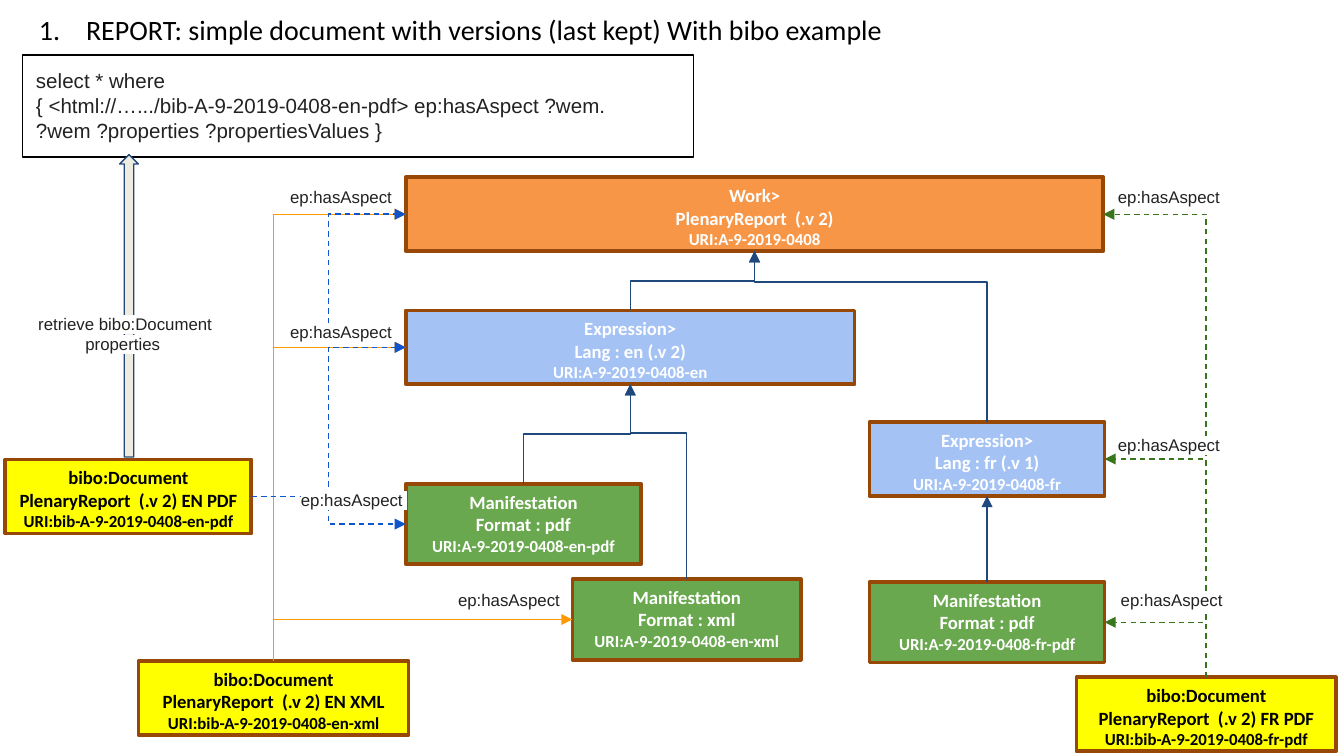
from dataclasses import dataclass

from lxml import etree
from pptx import Presentation
from pptx.dml.color import RGBColor
from pptx.enum.dml import MSO_LINE
from pptx.enum.shapes import MSO_CONNECTOR, MSO_SHAPE
from pptx.enum.text import MSO_ANCHOR, MSO_AUTO_SIZE, PP_ALIGN
from pptx.oxml.ns import qn
from pptx.util import Pt

LEFT, CENTER = PP_ALIGN.LEFT, PP_ALIGN.CENTER
TOP_SITE, LEFT_SITE, BOTTOM_SITE, RIGHT_SITE = range(4)
DASH = MSO_LINE.DASH


@dataclass(frozen=True)
class Theme:
    heading: str = "Calibri"
    body: str = "Arial"
    black: str = "000000"
    white: str = "FFFFFF"
    grey: str = "222222"
    work: str = "F79646"
    expression: str = "A4C2F4"
    manifestation: str = "6AA84F"
    document: str = "FFFF00"
    border: str = "974806"
    navy: str = "1F497D"
    cream: str = "EEECE1"
    green: str = "38761D"
    orange: str = "FF9900"
    blue: str = "1155CC"
    title_size: float = 15
    query_size: float = 11
    box_size: float = 10
    small_size: float = 9
    thin: float = 0.75
    thick: float = 2


THEME = Theme()

# Content
TITLE = "REPORT: simple document with versions (last kept) With bibo example"
QUERY = [
    "select * where ",
    "{ <html://….../bib-A-9-2019-0408-en-pdf> ep:hasAspect ?wem.",
    "?wem ?properties ?propertiesValues }",
]
RETRIEVE = "retrieve bibo:Document properties "
ASPECT = "ep:hasAspect "

KINDS = {  # heading, fill, text colour, height
    "work": ("Work>", THEME.work, THEME.white, 39.6),
    "expression": ("Expression>", THEME.expression, THEME.white, 39.6),
    "manifestation": ("Manifestation", THEME.manifestation, THEME.white, 43.2),
    "document": ("bibo:Document", THEME.document, THEME.black, 39.6),
}
BOXES = {  # kind, detail, URI, left, top, width
    "work": ("work", "PlenaryReport  (.v 2)", "A-9-2019-0408", 217.4, 95, 373.7),
    "fr": ("expression", "Lang : fr (.v 1)", "A-9-2019-0408-fr", 465.8, 226.1, 126),
    "en": ("expression", "Lang : en (.v 2)", "A-9-2019-0408-en", 217.4, 166.3, 240.5),
    "en xml": ("manifestation", "Format : xml", "A-9-2019-0408-en-xml", 306.7, 310.3, 122.4),
    "en pdf": ("manifestation", "Format : pdf", "A-9-2019-0408-en-pdf", 217.4, 259.2, 126),
    "fr pdf": ("manifestation", "Format : pdf", "A-9-2019-0408-fr-pdf", 465.8, 311.8, 126),
    "doc fr pdf": ("document", "PlenaryReport  (.v 2) FR PDF",
                   "bib-A-9-2019-0408-fr-pdf", 576.7, 362.9, 139),
    "doc en pdf": ("document", "PlenaryReport  (.v 2) EN PDF",
                   "bib-A-9-2019-0408-en-pdf", 2.9, 246.2, 131.8),
    "doc en xml": ("document", "PlenaryReport  (.v 2) EN XML",
                   "bib-A-9-2019-0408-en-xml", 74.2, 354.2, 144.7),
}
PARENTS = [  # child, parent, share of the rise before the turn
    ("en", "work", 0.5),
    ("en pdf", "en", 0.5),
    ("fr", "work", 0.82),
    ("en xml", "en", 0.75),
    ("fr pdf", "fr", None),
]
ASPECTS = [  # document, exit site, entry site, colour, dash, targets
    ("doc fr pdf", TOP_SITE, RIGHT_SITE, THEME.green, DASH, ["work", "fr", "fr pdf"]),
    ("doc en xml", TOP_SITE, LEFT_SITE, THEME.orange, None, ["en xml", "en", "work"]),
    ("doc en pdf", RIGHT_SITE, LEFT_SITE, THEME.blue, DASH, ["work", "en", "en pdf"]),
]
ASPECT_LABELS = [(148.3, 92.9), (148.3, 164.9), (154.1, 254.9), (238.3, 308.9),
                 (593.3, 308.9), (591.8, 225.4), (591.8, 92.9)]

deck = Presentation()
deck.slide_width, deck.slide_height = Pt(720), Pt(405)
page = deck.slides.add_slide(deck.slide_layouts[5])


def rgb(color):
    return RGBColor.from_string(color)


def write(frame, lines, *, size, color, font=THEME.body, bold=False, align=LEFT,
          anchor=MSO_ANCHOR.TOP, inset=7.2, last_size=None, highlight=None):
    frame.word_wrap = True
    frame.auto_size = MSO_AUTO_SIZE.NONE
    frame.vertical_anchor = anchor
    frame.margin_left = frame.margin_right = Pt(7.2)
    frame.margin_top = frame.margin_bottom = Pt(inset)
    for index, line in enumerate(lines):
        para = frame.paragraphs[0] if index == 0 else frame.add_paragraph()
        para.alignment = align
        span = para.add_run()
        span.text = line
        is_last = index == len(lines) - 1
        span.font.size = Pt(last_size if last_size and is_last else size)
        span.font.name, span.font.bold = font, bold
        span.font.color.rgb = rgb(color)
        if highlight:
            mark = etree.Element(qn("a:highlight"))
            etree.SubElement(mark, qn("a:srgbClr")).set("val", highlight)
            span.font._element.find(qn("a:solidFill")).addnext(mark)


def add_box(left, top, width, height, *, fill, line, weight, kind=MSO_SHAPE.RECTANGLE):
    box = page.shapes.add_shape(kind, Pt(left), Pt(top), Pt(width), Pt(height))
    box.shadow.inherit = False
    if fill:
        box.fill.solid()
        box.fill.fore_color.rgb = rgb(fill)
    else:
        box.fill.background()
    box.line.color.rgb = rgb(line)
    box.line.width = Pt(weight)
    return box


def add_label(left, top, width, height, text, align=LEFT):
    label = page.shapes.add_textbox(Pt(left), Pt(top), Pt(width), Pt(height))
    write(label.text_frame, [text], size=THEME.small_size, color=THEME.grey,
          align=align, highlight=THEME.white)


def turn_upward(arrow, preset, share=None):
    """Make the elbow leave its start upward instead of sideways."""
    run, rise = arrow.end_x - arrow.begin_x, arrow.begin_y - arrow.end_y
    middle_x = (arrow.begin_x + arrow.end_x) // 2
    middle_y = (arrow.begin_y + arrow.end_y) // 2
    frame = arrow._element.spPr.find(qn("a:xfrm"))
    frame.attrib.clear()
    frame.set("rot", str((270 if run > 0 else 90) * 60000))
    if run < 0:
        frame.set("flipH", "1")
    arrow.width, arrow.height = rise, abs(run)
    arrow.left, arrow.top = middle_x - rise // 2, middle_y - abs(run) // 2
    shape = arrow._element.spPr.find(qn("a:prstGeom"))
    shape.set("prst", preset)
    if share:
        guides = shape.find(qn("a:avLst"))
        guide = etree.SubElement(guides, qn("a:gd"))
        guide.set("name", "adj1")
        guide.set("fmla", f"val {round(share * 100000)}")


def add_arrow(start, start_site, end, end_site, color, dash=None, kind=MSO_CONNECTOR.ELBOW):
    arrow = page.shapes.add_connector(kind, 0, 0, 0, 0)
    arrow.begin_connect(start, start_site)
    arrow.end_connect(end, end_site)
    arrow.line.color.rgb = rgb(color)
    arrow.line.width = Pt(THEME.thin)
    if dash:
        arrow.line.dash_style = dash
    etree.SubElement(arrow.line._get_or_add_ln(), qn("a:tailEnd")).set("type", "triangle")
    etree.SubElement(arrow._element.spPr, qn("a:effectLst"))
    return arrow


# Numbered title
title = page.shapes.title
title.left, title.top, title.width, title.height = Pt(2.9), Pt(0), Pt(648), Pt(31)
write(title.text_frame, [TITLE], size=THEME.title_size, color=THEME.black,
      font=THEME.heading, anchor=MSO_ANCHOR.MIDDLE, inset=3.6)
layout = title.text_frame.paragraphs[0]._p.get_or_add_pPr()
layout.set("marL", str(Pt(36)))
layout.set("indent", str(-Pt(25.2)))
bullet_color = etree.SubElement(layout, qn("a:buClr"))
etree.SubElement(bullet_color, qn("a:srgbClr")).set("val", THEME.black)
etree.SubElement(layout, qn("a:buAutoNum")).set("type", "arabicPeriod")

# Resource boxes
boxes = {}
for name, (kind, detail, uri, left, top, width) in BOXES.items():
    heading, fill, color, height = KINDS[kind]
    boxes[name] = add_box(left, top, width, height, fill=fill,
                          line=THEME.border, weight=THEME.thick)
    write(boxes[name].text_frame, [heading, detail, "URI:" + uri], size=THEME.box_size,
          last_size=THEME.small_size, color=color, font=THEME.heading, bold=True,
          align=CENTER, inset=3.6)

# Arrows from each child up to its parent
for child, parent, share in PARENTS:
    kind = MSO_CONNECTOR.ELBOW if share else MSO_CONNECTOR.STRAIGHT
    arrow = add_arrow(boxes[child], TOP_SITE, boxes[parent], BOTTOM_SITE,
                      THEME.navy, kind=kind)
    if share:
        turn_upward(arrow, "bentConnector3", share)

# Arrows from each document to its aspects
for document, exit_site, entry_site, color, dash, targets in ASPECTS:
    for target in targets:
        arrow = add_arrow(boxes[document], exit_site, boxes[target], entry_site, color, dash)
        if exit_site == TOP_SITE:
            turn_upward(arrow, "bentConnector2")

for left, top in ASPECT_LABELS:
    add_label(left, top, 82.8, 25.2, ASPECT)

# Query and the arrow that leads to it
query = add_box(12.2, 29.5, 359.3, 54.7, fill=None, line=THEME.black, weight=THEME.thin)
write(query.text_frame, QUERY, size=THEME.query_size, color=THEME.grey, highlight=THEME.white)
add_box(64.1, 82.8, 10.1, 162, fill=THEME.cream, line=THEME.navy, weight=THEME.thin,
        kind=MSO_SHAPE.UP_ARROW)
add_label(5.8, 160.6, 122.4, 36, RETRIEVE, align=CENTER)

deck.save("out.pptx")
